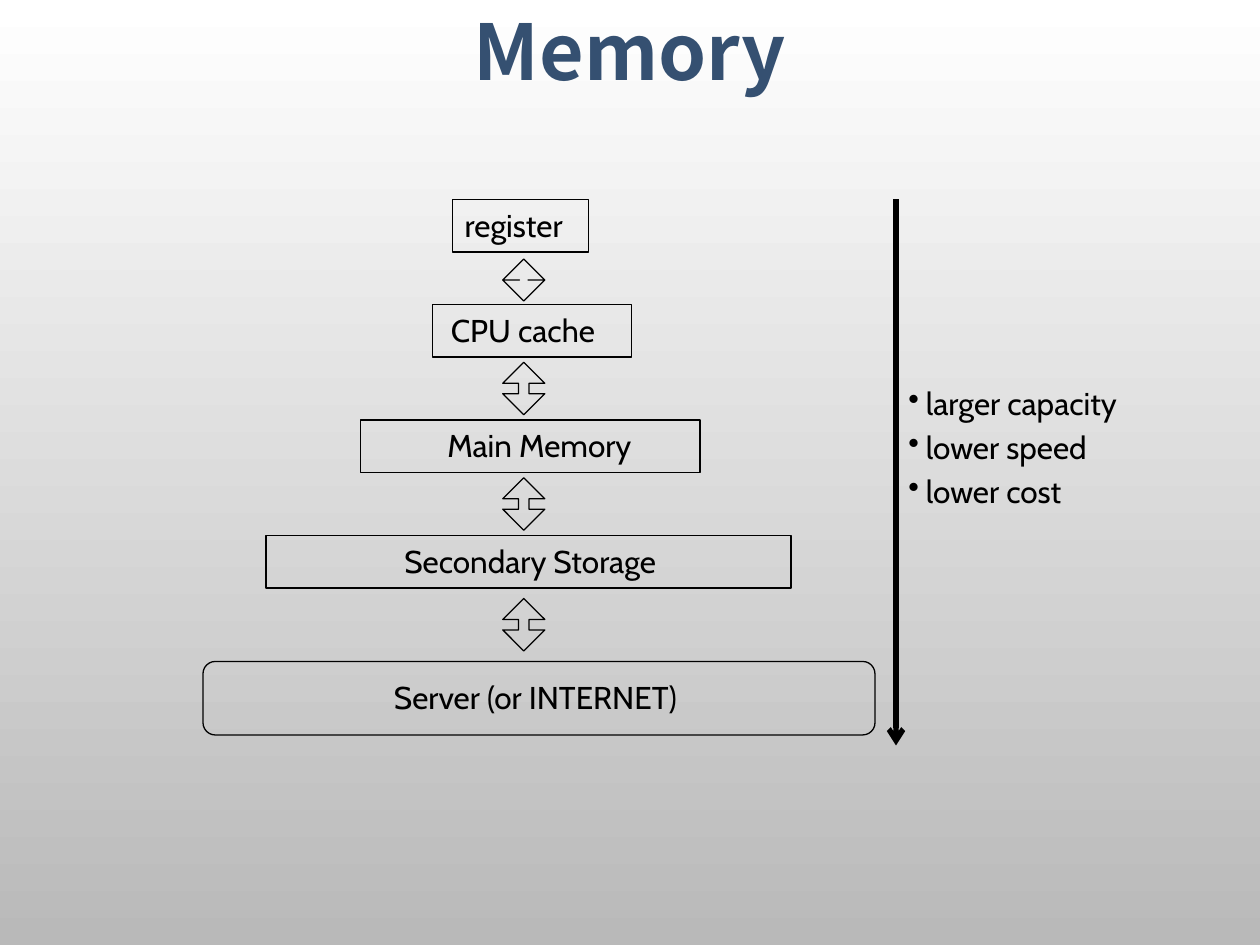
from dataclasses import dataclass

from lxml import etree
from pptx import Presentation
from pptx.dml.color import RGBColor
from pptx.enum.shapes import MSO_CONNECTOR, MSO_SHAPE
from pptx.enum.text import MSO_ANCHOR, MSO_AUTO_SIZE, PP_ALIGN
from pptx.oxml.ns import qn
from pptx.util import Pt

RECTANGLE = MSO_SHAPE.RECTANGLE
ROUNDED = MSO_SHAPE.ROUNDED_RECTANGLE
UP_DOWN_ARROW = MSO_SHAPE.UP_DOWN_ARROW
STRAIGHT = MSO_CONNECTOR.STRAIGHT
TITLE_ONLY = 5


@dataclass(frozen=True)
class Theme:
    ink: RGBColor = RGBColor(0x00, 0x00, 0x00)
    title: RGBColor = RGBColor(0x35, 0x50, 0x71)
    background_top: RGBColor = RGBColor(0xFF, 0xFF, 0xFF)
    background_bottom: RGBColor = RGBColor(0xB9, 0xB9, 0xB9)
    title_font: str = "Noto Sans CJK KR"
    body_font: str = "Cabin"
    title_size: int = 44
    body_size: int = 18
    outline: float = 0.75
    heavy_line: float = 3


THEME = Theme()

LABEL_HEIGHT = 29
ARROW_LEFT, ARROW_WIDTH = 287.3, 24
SCALE_X = 512

# Preset, box (left, top, width, height), label, label (left, top, width)
LEVELS = [
    (RECTANGLE, (258.5, 114, 77.8, 30), "register", (258.5, 114, 77)),
    (RECTANGLE, (247, 174, 114, 30), "CPU cache", (250.5, 174, 108.7)),
    (RECTANGLE, (206, 240, 194, 30), "Main Memory", (248.5, 240, 126.7)),
    (RECTANGLE, (152, 306, 300, 30), "Secondary Storage", (224, 306, 175)),
    (ROUNDED, (116, 378, 384, 42), "Server (or INTERNET)", (218, 384, 195)),
]
# Top, height of the arrows between neighbouring levels
ARROWS = [(148, 24), (207, 30), (273, 30), (342, 30)]
TRENDS = ["larger capacity", "lower speed", "lower cost"]


def style_font(font, name, size, color, bold=False):
    font.name = name
    font.size = Pt(size)
    font.color.rgb = color
    font.bold = bold


def set_background(slide):
    fill = slide.background.fill
    fill.gradient()
    fill.gradient_angle = 270
    colors = (THEME.background_top, THEME.background_bottom)
    for stop, position, color in zip(fill.gradient_stops, (0, 1), colors):
        stop.position = position
        stop.color.rgb = color


def set_title(slide, text):
    title = slide.shapes.title
    title.left, title.top, title.width, title.height = map(Pt, (12, 6, 696, 42))
    frame = title.text_frame
    frame.text = text
    frame.auto_size = MSO_AUTO_SIZE.NONE
    frame.vertical_anchor = MSO_ANCHOR.TOP
    frame.margin_left = frame.margin_right = 0
    frame.margin_top = frame.margin_bottom = 0
    paragraph = frame.paragraphs[0]
    paragraph.alignment = PP_ALIGN.CENTER
    paragraph.line_spacing = 0.95
    style_font(paragraph.font, THEME.title_font, THEME.title_size, THEME.title, True)


def add_outline(slide, preset, left, top, width, height):
    shape = slide.shapes.add_shape(preset, Pt(left), Pt(top), Pt(width), Pt(height))
    shape.shadow.inherit = False
    shape.fill.background()
    shape.line.color.rgb = THEME.ink
    shape.line.width = Pt(THEME.outline)
    return shape


def add_bullet(paragraph, indent):
    properties = paragraph._p.get_or_add_pPr()
    properties.set("marL", str(Pt(indent)))
    properties.set("indent", str(-Pt(indent)))
    etree.SubElement(properties, qn("a:buChar")).set("char", "•")


def add_text(slide, lines, left, top, width, height, bulleted=False):
    box = slide.shapes.add_textbox(Pt(left), Pt(top), Pt(width), Pt(height))
    frame = box.text_frame
    frame.word_wrap = False
    for index, line in enumerate(lines):
        paragraph = frame.add_paragraph() if index else frame.paragraphs[0]
        paragraph.text = line
        if index:
            paragraph.space_before = Pt(3.6)
        if bulleted:
            add_bullet(paragraph, 10)
        style_font(paragraph.font, THEME.body_font, THEME.body_size, THEME.ink)


def add_scale_arrow(slide, x, top, bottom):
    connector = slide.shapes.add_connector(STRAIGHT, Pt(x), Pt(top), Pt(x), Pt(bottom))
    connector.line.color.rgb = THEME.ink
    connector.line.width = Pt(THEME.heavy_line)
    line = connector.line._get_or_add_ln()
    etree.SubElement(line, qn("a:tailEnd")).set("type", "arrow")
    etree.SubElement(connector._element.spPr, qn("a:effectLst"))


def main():
    presentation = Presentation()
    presentation.slide_width, presentation.slide_height = Pt(720), Pt(540)
    slide = presentation.slides.add_slide(presentation.slide_layouts[TITLE_ONLY])
    set_background(slide)
    set_title(slide, "Memory")

    for preset, box, label, (left, top, width) in LEVELS:
        add_outline(slide, preset, *box)
        add_text(slide, [label], left, top, width, LABEL_HEIGHT)

    for top, height in ARROWS:
        arrow = add_outline(slide, UP_DOWN_ARROW, ARROW_LEFT, top, ARROW_WIDTH, height)
        arrow.adjustments[0] = 0.5
        arrow.adjustments[1] = 6 / ARROW_WIDTH if height == 30 else 0.2

    add_scale_arrow(slide, SCALE_X, 114, 426)
    add_text(slide, TRENDS, SCALE_X, 216, 150.5, 80.6, bulleted=True)
    presentation.save("out.pptx")


if __name__ == "__main__":
    main()
